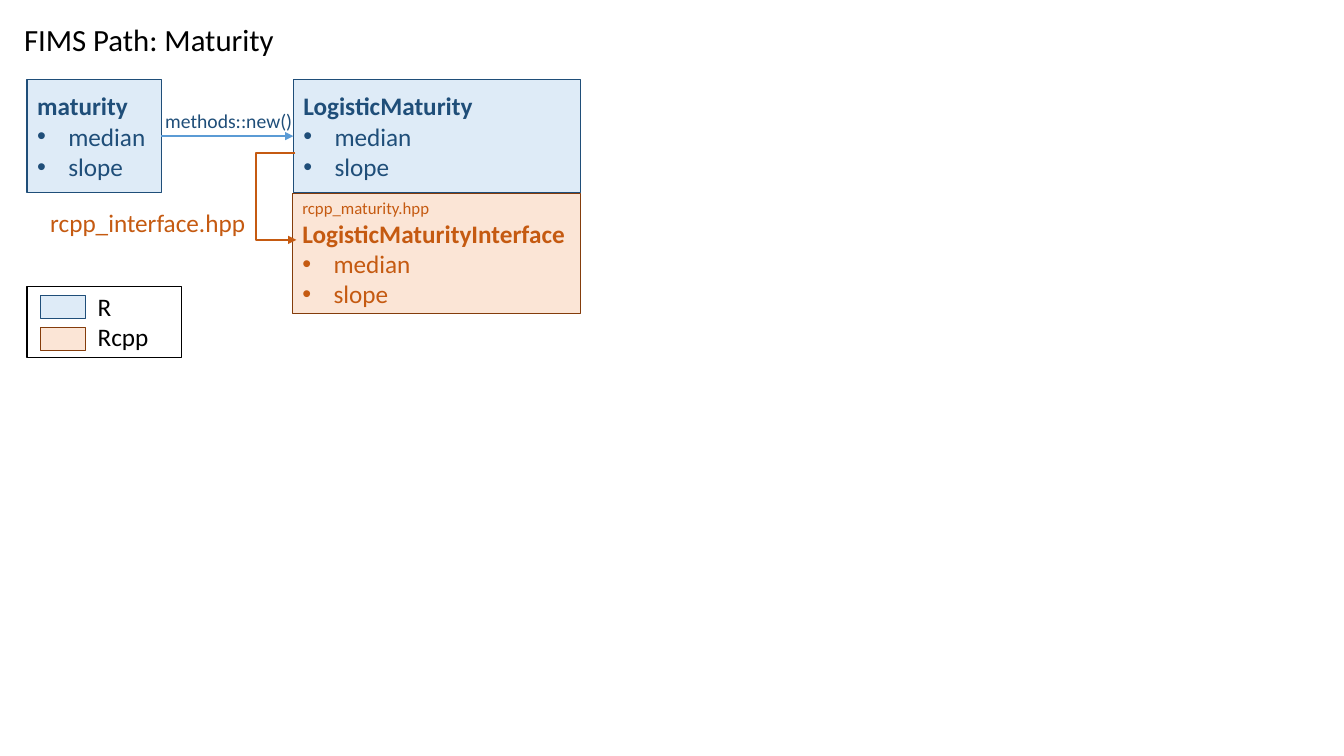
from lxml.etree import SubElement
from pptx import Presentation
from pptx.dml.color import RGBColor
from pptx.enum.shapes import MSO_CONNECTOR, MSO_SHAPE
from pptx.enum.text import MSO_ANCHOR, PP_ALIGN
from pptx.oxml.ns import qn
from pptx.util import Pt

PX = 9144  # 100 px to the inch
INK = {
    "black": "000000", "white": "FFFFFF",
    "navy": "1F4E79", "pale": "DEEBF7", "sky": "5B9BD5",
    "brown": "843C0B", "peach": "FBE5D6", "rust": "C55A11",
}
FIELDS = [("median", 18, False, True), ("slope", 18, False, True)]


def add_box(area, fill, edge):
    box = slide.shapes.add_shape(MSO_SHAPE.RECTANGLE, *[n * PX for n in area])
    box.shadow.inherit = False
    box.fill.solid()
    box.fill.fore_color.rgb = RGBColor.from_string(INK[fill])
    box.line.color.rgb = RGBColor.from_string(INK[edge])
    box.line.width = Pt(1)
    return box


def write(shape, rows, ink):
    """Fill a shape with rows of (text, size, bold, bullet)."""
    frame = shape.text_frame
    frame.word_wrap = True
    frame.text = "\n".join(row[0] for row in rows)
    for para, (_, size, bold, dot) in zip(frame.paragraphs, rows):
        para.alignment = PP_ALIGN.LEFT
        font = para.runs[0].font
        font.name, font.size, font.bold = "Calibri", Pt(size), bold
        font.color.rgb = RGBColor.from_string(INK[ink])
        if dot:
            props = para._p.get_or_add_pPr()
            props.set("marL", str(31 * PX))
            props.set("indent", str(-31 * PX))
            SubElement(props, qn("a:buFont"), typeface="Arial")
            SubElement(props, qn("a:buChar"), char="•")


deck = Presentation()
deck.slide_width, deck.slide_height = 1333 * PX, 750 * PX
slide = deck.slides.add_slide(deck.slide_layouts[6])

# Class boxes
cards = {}
for name, area, fill, edge, ink, head in [
    ("class", (291, 79, 285, 112), "pale", "navy", "navy",
     [("LogisticMaturity", 18, True, False)]),
    ("face", (290, 192, 286, 119), "peach", "brown", "rust",
     [("rcpp_maturity.hpp", 12, False, False),
      ("LogisticMaturityInterface", 18, True, False)]),
    ("object", (27, 79, 133, 112), "pale", "navy", "navy",
     [("maturity", 18, True, False)]),
]:
    cards[name] = add_box(area, fill, edge)
    cards[name].text_frame.vertical_anchor = MSO_ANCHOR.MIDDLE
    write(cards[name], head + FIELDS, ink)

# Legend
add_box((27, 284, 153, 71), "white", "black")
for top, fill, edge in [(293, "pale", "navy"), (325, "peach", "brown")]:
    add_box((40, top, 45, 23), fill, edge)

# Arrows
call = slide.shapes.add_connector(MSO_CONNECTOR.STRAIGHT, 160 * PX, 135 * PX, 291 * PX, 135 * PX)
call.begin_connect(cards["object"], 3)
call.end_connect(cards["class"], 1)
bend = slide.shapes.add_connector(MSO_CONNECTOR.ELBOW, 293 * PX, 152 * PX, 294 * PX, 238 * PX)
guides = bend._element.spPr.find(qn("a:prstGeom")).get_or_add_avLst()
# The bend lies 40 px left of the start, in 1/100000 of the 1 px width
SubElement(guides, qn("a:gd"), name="adj1", fmla="val -4000000")
for arrow, ink in [(call, "sky"), (bend, "rust")]:
    arrow.line.color.rgb = RGBColor.from_string(INK[ink])
    arrow.line.width = Pt(1.25)
    SubElement(arrow.line._get_or_add_ln(), qn("a:tailEnd"), type="triangle")
    SubElement(arrow._element.spPr, qn("a:effectLst"))

# Labels
for area, words, size, ink in [
    ((14, 16, 400, 47), ["FIMS Path: Maturity"], 22, "black"),
    ((40, 201, 240, 40), ["rcpp_interface.hpp"], 18, "rust"),
    ((87, 284, 206, 71), ["R", "Rcpp"], 18, "black"),
    ((154, 103, 158, 34), ["methods::new()"], 14, "navy"),
]:
    label = slide.shapes.add_textbox(*[n * PX for n in area])
    write(label, [(word, size, False, False) for word in words], ink)

deck.save("out.pptx")
